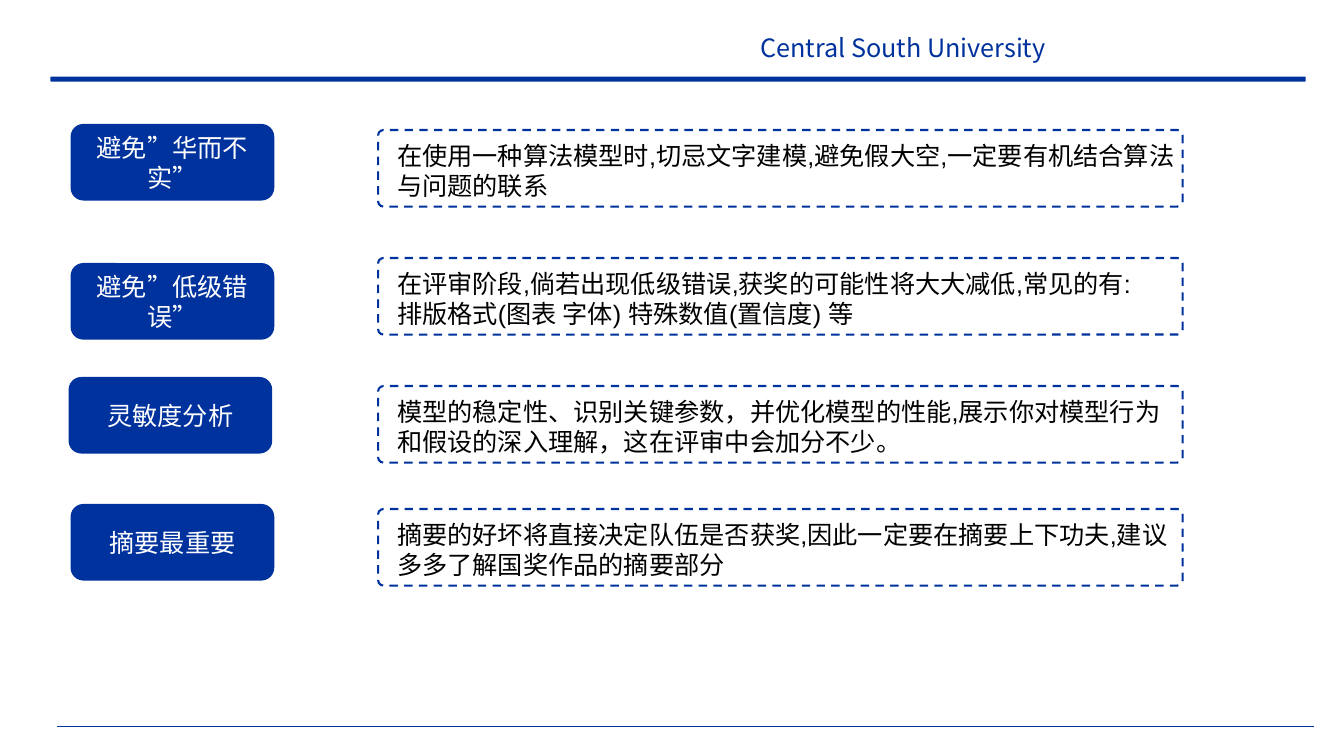
from pptx import Presentation
from pptx.dml.color import RGBColor
from pptx.enum.dml import MSO_LINE
from pptx.enum.shapes import MSO_CONNECTOR, MSO_SHAPE
from pptx.enum.text import MSO_ANCHOR, PP_ALIGN
from pptx.oxml.ns import qn
from pptx.util import Inches, Pt
from lxml import etree

BLUE = RGBColor(0x00, 0x32, 0x9D)
WHITE = RGBColor(0xFF, 0xFF, 0xFF)
BLACK = RGBColor(0x00, 0x00, 0x00)

# Content: label, its left and top, top of the advice frame, advice paragraphs
UNIVERSITY = "Central South University"
TIPS = [
    ("避免”华而不实”", 0.7, 1.23, 1.29,
     ["在使用一种算法模型时,切忌文字建模,避免假大空,一定要有机结合算法与问题的联系"]),
    ("避免”低级错误”", 0.7, 2.61, 2.56,
     ["在评审阶段,倘若出现低级错误,获奖的可能性将大大减低,常见的有:",
      "排版格式(图表 字体) 特殊数值(置信度) 等"]),
    ("灵敏度分析", 0.68, 3.74, 3.83,
     ["模型的稳定性、识别关键参数，并优化模型的性能,展示你对模型行为和假设的深入理解，这在评审中会加分不少。"]),
    ("摘要最重要", 0.7, 5.0, 5.05,
     ["摘要的好坏将直接决定队伍是否获奖,因此一定要在摘要上下功夫,建议多多了解国奖作品的摘要部分"]),
]

# Layout in inches
ROW_HEIGHT = 0.76
LABEL_WIDTH = 2.02
FRAME_LEFT, FRAME_WIDTH = 3.75, 7.98
ADVICE_DX, ADVICE_DY = 0.09, 0.05
ADVICE_WIDTH, ADVICE_HEIGHT = 7.95, 0.71

deck = Presentation()
deck.slide_width, deck.slide_height = Inches(13.33), Inches(7.5)
slide = deck.slides.add_slide(deck.slide_layouts[6])


def add_rounded(left, top, width, height, fill=None):
    box = slide.shapes.add_shape(MSO_SHAPE.ROUNDED_RECTANGLE, Inches(left),
                                 Inches(top), Inches(width), Inches(height))
    box.shadow.inherit = False
    if fill is None:
        box.fill.background()
    else:
        box.fill.solid()
        box.fill.fore_color.rgb = fill
        box.line.fill.background()
    return box


def add_textbox(left, top, width, height):
    return slide.shapes.add_textbox(Inches(left), Inches(top),
                                    Inches(width), Inches(height)).text_frame


def write(frame, lines, color, font="Arial", align=PP_ALIGN.LEFT):
    frame.word_wrap = True
    for number, line in enumerate(lines):
        paragraph = frame.add_paragraph() if number else frame.paragraphs[0]
        paragraph.alignment = align
        run = paragraph.add_run()
        run.text = line
        run.font.size = Pt(18)
        run.font.name = font
        run.font.color.rgb = color


# Header and footer rules
add_rounded(0.5, 0.76, 12.45, 0.05, BLUE)
header = add_textbox(7.51, 0.29, 4.5, 0.36)
header.margin_left = header.margin_right = Inches(0.03)
header.margin_top = header.margin_bottom = Inches(0.03)
write(header, [UNIVERSITY], BLUE, font="Noto Sans CJK JP")

footer_rule = slide.shapes.add_connector(
    MSO_CONNECTOR.STRAIGHT, Inches(0.57), Inches(7.21), Inches(13.03), Inches(7.21))
footer_rule.line.color.rgb = BLUE
footer_rule.line.width = Pt(0.75)
etree.SubElement(footer_rule._element.spPr, qn("a:effectLst"))

# Tips: blue label, dashed frame and advice
for label, label_left, label_top, frame_top, advice in TIPS:
    label_box = add_rounded(label_left, label_top, LABEL_WIDTH, ROW_HEIGHT, BLUE)
    label_box.text_frame.vertical_anchor = MSO_ANCHOR.MIDDLE
    write(label_box.text_frame, [label], WHITE, align=PP_ALIGN.CENTER)

    dashed_frame = add_rounded(FRAME_LEFT, frame_top, FRAME_WIDTH, ROW_HEIGHT)
    dashed_frame.adjustments[0] = 0.07
    dashed_frame.line.color.rgb = BLUE
    dashed_frame.line.width = Pt(1.5)
    dashed_frame.line.dash_style = MSO_LINE.DASH

    write(add_textbox(FRAME_LEFT + ADVICE_DX, frame_top + ADVICE_DY,
                      ADVICE_WIDTH, ADVICE_HEIGHT), advice, BLACK)

deck.save("out.pptx")
